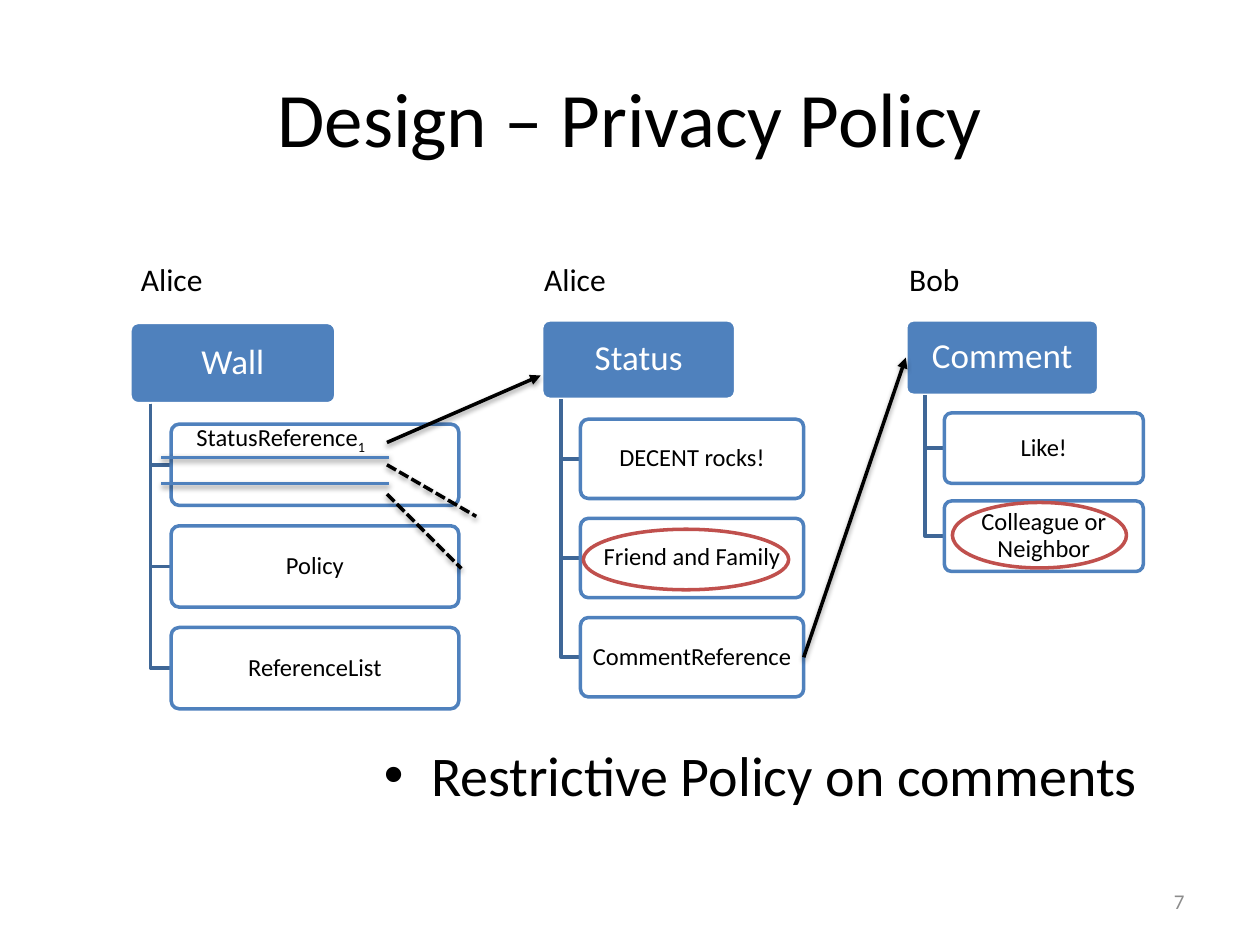
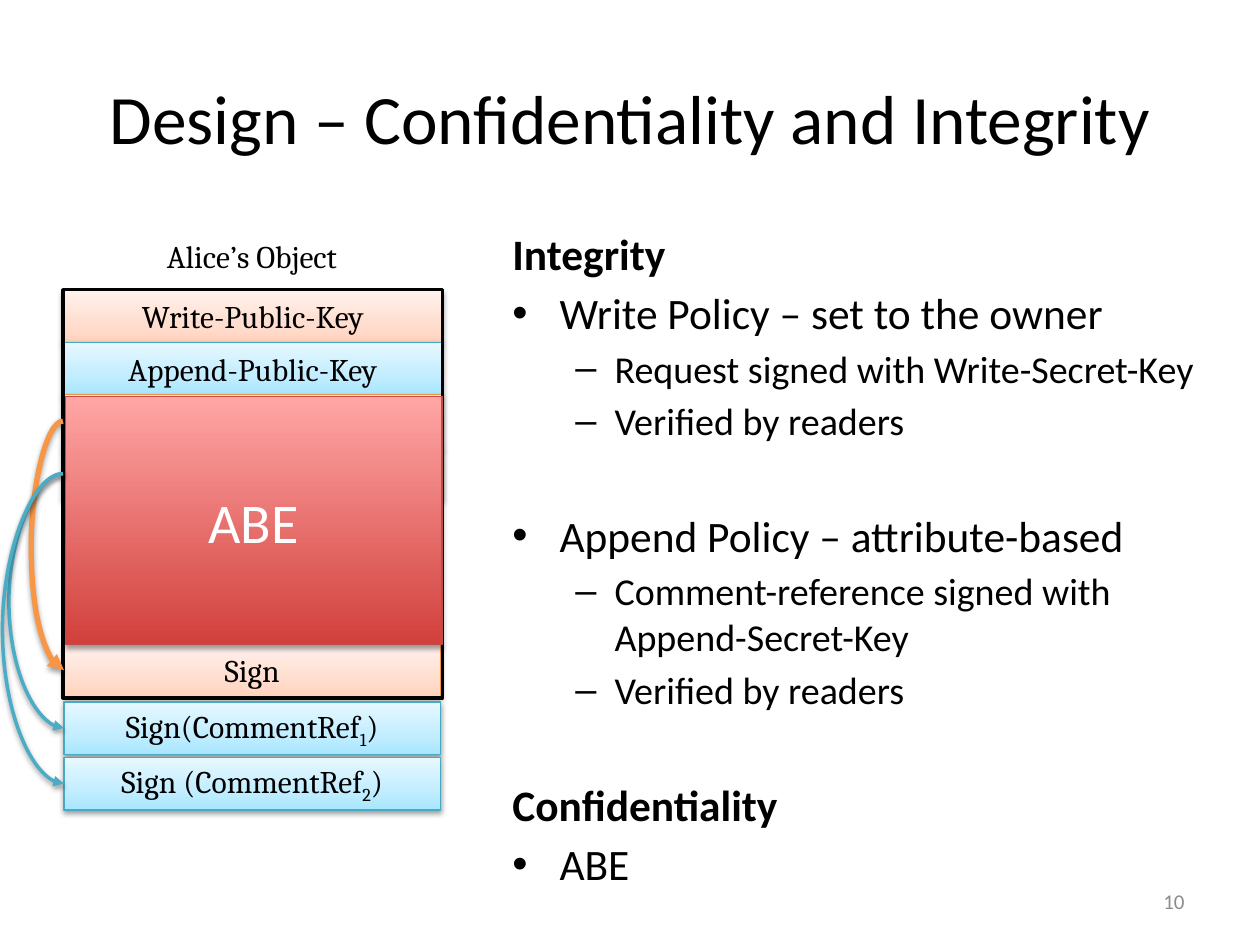
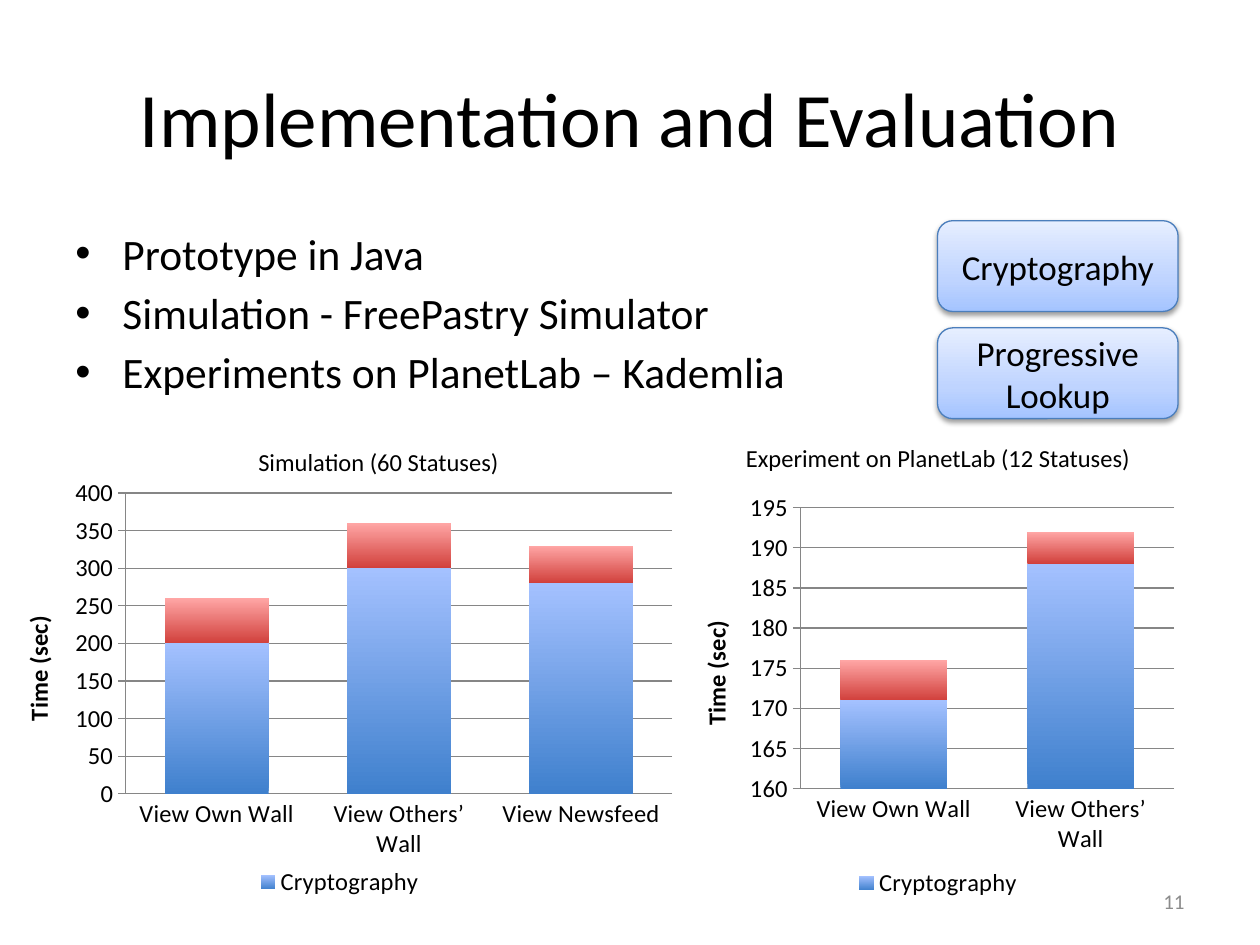
import copy

import pptx
import pptx.chart.data
import pptx.dml.color
import pptx.enum.chart
import pptx.enum.dml
import pptx.enum.shapes
import pptx.enum.text
import pptx.oxml
import pptx.oxml.ns
import pptx.util

Cm, Pt = pptx.util.Cm, pptx.util.Pt
RGB = pptx.dml.color.RGBColor
SHAPE = pptx.enum.shapes.MSO_SHAPE
CONNECTOR = pptx.enum.shapes.MSO_CONNECTOR
ALIGN = pptx.enum.text.PP_ALIGN
ANCHOR = pptx.enum.text.MSO_ANCHOR
CHART = pptx.enum.chart
DASH = pptx.enum.dml.MSO_LINE
qn = pptx.oxml.ns.qn

# Shared look
BLACK = RGB(0x00, 0x00, 0x00)
WHITE = RGB(0xFF, 0xFF, 0xFF)
GREY = RGB(0x8C, 0x8C, 0x8C)
AXIS_GREY = RGB(0x86, 0x86, 0x86)
BLUE = RGB(0x4F, 0x81, 0xBD)
TRUNK_BLUE = RGB(0x3F, 0x67, 0x97)
RED = RGB(0xC0, 0x50, 0x4D)
ORANGE = RGB(0xF7, 0x96, 0x46)
TEAL = RGB(0x4B, 0xAC, 0xC6)
ORANGE_EDGE = RGB(0xF6, 0x92, 0x40)
TEAL_EDGE = RGB(0x46, 0xAA, 0xC5)
BLUE_EDGE = RGB(0x4B, 0x7E, 0xBC)
RED_EDGE = RGB(0xBF, 0x4C, 0x48)

# Gradients run from the bottom edge to the top edge
PEACH_FADE = [(0, RGB(0xFF, 0xD2, 0xBD)), (0.35, RGB(0xFF, 0xDE, 0xD0)), (1, RGB(0xFF, 0xF2, 0xED))]
SKY_FADE = [(0, RGB(0xA7, 0xE6, 0xFF)), (0.35, RGB(0xC1, 0xED, 0xFF)), (1, RGB(0xE7, 0xF8, 0xFF))]
PALE_BLUE_FADE = [(0, RGB(0xA4, 0xC4, 0xFF)), (0.35, RGB(0xBF, 0xD4, 0xFF)), (1, RGB(0xE6, 0xEE, 0xFF))]
RED_FADE = [(0, RGB(0xD1, 0x40, 0x3C)), (1, RGB(0xFF, 0xA6, 0xA5))]
BLUE_FADE = [(0, RGB(0x3F, 0x80, 0xCD)), (1, RGB(0xA4, 0xC1, 0xFF))]

TITLE_AREA = (1.27, 0.76, 22.86, 3.18)
NUMBER_AREA = (18.21, 17.65, 5.92, 1.02)

# Slide 1 content: owner, owner label left and width, header area, item width and height, items
TREES = {
    "Wall": ("Alice", 2.59, 2.24, (2.62, 6.5, 4.15, 1.64), 5.8, 1.64, ["", "Policy", "ReferenceList"]),
    "Status": ("Alice", 10.72, 1.78, (10.92, 6.45, 3.91, 1.6), 4.5, 1.6,
               ["DECENT rocks!", "Friend and Family", "CommentReference"]),
    "Comment": ("Bob", 18.08, 1.55, (18.26, 6.45, 3.89, 1.52), 4.01, 1.42,
                ["Like!", "Colleague or Neighbor"]),
}
REFERENCE_RULES = [9.22, 9.75]
REFERENCE_LINKS = [
    ((7.8, 8.92), (10.9, 7.57), True),
    ((7.8, 9.37), (9.6, 10.41), False),
    ((7.8, 9.96), (9.3, 11.46), False),
]
POLICY_RINGS = [(11.76, 10.67, 4.14, 1.22), (19.2, 10.13, 3.51, 1.32)]
POLICY_NOTE = [("point", "Restrictive Policy on comments", 32, 0)]

# Slide 2 content: texts alternate between normal and subscript parts
SIGNED_WITH_WRITE = (PEACH_FADE, ORANGE_EDGE)
SIGNED_WITH_APPEND = (SKY_FADE, TEAL_EDGE)
KEY_ROWS = [
    (("Write-Public-Key",), SIGNED_WITH_WRITE),
    (("Append-Public-Key",), SIGNED_WITH_APPEND),
    ((), SIGNED_WITH_WRITE),
    ((), SIGNED_WITH_APPEND),
]
SIGNATURES = [
    (("Sign",), 12.98, SIGNED_WITH_WRITE),
    (("Sign(CommentRef", "1", ")"), 14.15, SIGNED_WITH_APPEND),
    (("Sign (CommentRef", "2", ")"), 15.27, SIGNED_WITH_APPEND),
]
# key row, signature, bulge to the left, colour, width
SIGNING_ARROWS = [(2, 0, 0.64, ORANGE, 3), (3, 1, 1.09, TEAL, 2), (3, 2, 1.22, TEAL, 2)]
SECURITY_POINTS = [
    ("heading", "Integrity", 24.8, 0),
    ("point", "Write Policy – set to the owner", 24.8, 4),
    ("detail", "Request signed with Write-Secret-Key", 21.7, 4),
    ("detail", "Verified by readers", 21.7, 4),
    ("point", "Append Policy – attribute-based", 24.8, 37.5),
    ("detail", "Comment-reference signed with Append-Secret-Key", 21.7, 4),
    ("detail", "Verified by readers", 21.7, 4),
    ("heading", "Confidentiality", 24.8, 38),
    ("point", "ABE", 24.8, 4),
]

# Slide 3 content
EVALUATION_POINTS = [
    ("point", "Prototype in Java", 24.8, 0),
    ("point", "Simulation - FreePastry Simulator", 24.8, 4),
    ("point", "Experiments on PlanetLab – Kademlia", 24.8, 4),
]
COSTS = ["Cryptography", "Progressive Lookup"]
CHARTS = [
    {
        "title": "Simulation (60 Statuses)", "title_area": (2.41, 8.79, 10.44, 1.04),
        "area": (0, 9.45, 13.69, 8.74), "plot": (0.185, 0.056, 0.805, 0.694),
        "views": ["View Own Wall", "View Others’ Wall", "View Newsfeed"],
        "times": [(200, 300, 280), (60, 60, 50)],
        "scale": {"minimum_scale": 0, "maximum_scale": 400, "major_unit": 50},
    },
    {
        "title": "Experiment on PlanetLab (12 Statuses)", "title_area": (13.69, 8.71, 10.44, 1.04),
        "area": (13.69, 9.93, 10.44, 8.28), "plot": (0.234, 0.036, 0.722, 0.685),
        "views": ["View Own Wall", "View Others’ Wall"],
        "times": [(171, 188), (5, 4)],
        "scale": {"minimum_scale": 160, "maximum_scale": 195, "major_unit": 5},
    },
]

# Bullet, left margin and hanging indent for each kind of paragraph
BULLETS = {"heading": None, "point": ("•", 0.95, 0.95), "detail": ("–", 2.06, 0.79)}


def apply(target, formats):
    for name, value in formats.items():
        setattr(target, name, value)


def lengths(area):
    return [Cm(value) for value in area]


def xml(tag, **attributes):
    element = pptx.oxml.parse_xml(f"<{tag} {pptx.oxml.ns.nsdecls(tag.split(':')[0])}/>")
    for name, value in attributes.items():
        element.set(name, str(value))
    return element


def set_font(font, size, color=BLACK, name="Calibri", bold=False):
    apply(font, {"size": Pt(size), "name": name, "bold": bold})
    font.color.rgb = color


def set_line(line, color, width):
    line.color.rgb = color
    line.width = Pt(width)


def write(shape, parts, size, color=BLACK, font="Calibri", align=ALIGN.CENTER,
          anchor=ANCHOR.MIDDLE, wrap=True, insets=(0.25, 0.13), spacing=None):
    frame = shape.text_frame
    side, end = lengths(insets)
    apply(frame, {"word_wrap": wrap, "vertical_anchor": anchor, "margin_left": side,
                  "margin_right": side, "margin_top": end, "margin_bottom": end})
    paragraph = frame.paragraphs[0]
    apply(paragraph, {"alignment": align, "line_spacing": spacing})
    for index, part in enumerate(parts):
        run = paragraph.add_run()
        run.text = part
        set_font(run.font, size, color, font)
        if index % 2:
            run._r.get_or_add_rPr().set("baseline", "-25000")


def add_label(slide, area, parts, size, **formats):
    write(slide.shapes.add_textbox(*lengths(area)), parts, size, **formats)


def add_points(slide, area, points):
    frame = slide.shapes.add_textbox(*lengths(area)).text_frame
    frame.word_wrap = True
    for index, (kind, text, size, before) in enumerate(points):
        paragraph = frame.add_paragraph() if index else frame.paragraphs[0]
        paragraph.space_before = Pt(before)
        if BULLETS[kind]:
            mark, margin, hanging = BULLETS[kind]
            properties = paragraph._p.get_or_add_pPr()
            properties.set("marL", str(Cm(margin)))
            properties.set("indent", str(-Cm(hanging)))
            properties.append(xml("a:buFont", typeface="Arial"))
            properties.append(xml("a:buChar", char=mark))
        run = paragraph.add_run()
        run.text = text
        set_font(run.font, size, bold=kind == "heading")


def fade(owner, fill, stops):
    fill.gradient()
    fill.gradient_angle = 90
    stop_list = owner._element.find(".//" + qn("a:gsLst"))
    while len(stop_list) < len(stops):
        stop_list.append(copy.deepcopy(stop_list[0]))
    for stop, (position, color) in zip(fill.gradient_stops, stops):
        stop.position = position
        stop.color.rgb = color


def cast_shadow(properties):
    effects = properties.find(qn("a:effectLst"))
    if effects is None:
        effects = xml("a:effectLst")
        properties.append(effects)
    shadow = xml("a:outerShdw", blurRad=Pt(3.1), dist=Pt(1.6), dir=5400000, rotWithShape=0)
    color = xml("a:srgbClr", val="000000")
    color.append(xml("a:alpha", val=38000))
    shadow.append(color)
    effects.append(shadow)


def add_box(slide, kind, area, fill=None, edge=None, width=2.0, shadow=False):
    box = slide.shapes.add_shape(kind, *lengths(area))
    box.shadow.inherit = False
    if fill is None:
        box.fill.background()
    elif isinstance(fill, list):
        fade(box, box.fill, fill)
    else:
        box.fill.solid()
        box.fill.fore_color.rgb = fill
    if edge is None:
        box.line.fill.background()
    else:
        set_line(box.line, edge, width)
    if shadow:
        cast_shadow(box._element.spPr)
    return box


def add_link(slide, start=(0, 0), end=(0, 0), color=BLACK, width=2.0, arrow=True, kind=CONNECTOR.STRAIGHT):
    link = slide.shapes.add_connector(kind, *lengths(start + end))
    set_line(link.line, color, width)
    if arrow:
        link.line._get_or_add_ln().append(xml("a:tailEnd", type="triangle"))
    cast_shadow(link._element.spPr)
    return link


def add_slide(deck, title, number, size=44):
    slide = deck.slides.add_slide(deck.slide_layouts[5])
    heading = slide.shapes.title
    apply(heading, dict(zip(("left", "top", "width", "height"), lengths(TITLE_AREA))))
    write(heading, (title,), size)
    add_label(slide, NUMBER_AREA, (str(number),), 12, color=GREY, align=ALIGN.RIGHT)
    return slide


def add_tree(slide, name, owner, label_left, label_width, area, item_width, item_height, items):
    left, top, width, height = area
    header = add_box(slide, SHAPE.ROUNDED_RECTANGLE, area, BLUE, WHITE)
    header.adjustments[0] = 0.1
    write(header, (name,), 20, WHITE, insets=(0.1, 0.08), spacing=0.9)
    bottom, trunk, item_left = top + height, left + 0.1 * width, left + 0.2 * width
    boxes = [header]
    for index, item in enumerate(items):
        item_top = bottom + (0.25 + 1.25 * index) * item_height
        middle = item_top + item_height / 2
        outline = slide.shapes.build_freeform(Cm(trunk), Cm(bottom))
        outline.add_line_segments([lengths((trunk, middle)), lengths((item_left, middle))], close=False)
        branch = outline.convert_to_shape()
        branch.shadow.inherit = False
        branch.fill.background()
        set_line(branch.line, TRUNK_BLUE, 2)
        box = add_box(slide, SHAPE.ROUNDED_RECTANGLE, (item_left, item_top, item_width, item_height), WHITE, BLUE)
        box.adjustments[0] = 0.1
        if item:
            write(box, (item,), 14, insets=(0.1, 0.08), spacing=0.9)
        boxes.append(box)
    add_label(slide, (label_left, 5.11, label_width, 1.02), (owner,), 18, align=ALIGN.LEFT, wrap=False)
    return boxes


def build_policy_slide(deck):
    slide = add_slide(deck, "Design – Privacy Policy", 7)
    add_points(slide, (7.49, 14.81, 16.64, 3.12), POLICY_NOTE)
    trees = {name: add_tree(slide, name, *parts) for name, parts in TREES.items()}

    # References between the trees
    comment_link = add_link(slide)
    comment_link.begin_connect(trees["Status"][-1], 3)
    comment_link.end_connect(trees["Comment"][0], 1)
    for height in REFERENCE_RULES:
        add_link(slide, (3.25, height), (7.85, height), BLUE, arrow=False)
    for start, end, followed in REFERENCE_LINKS:
        link = add_link(slide, start, end, arrow=followed)
        if not followed:
            link.line.dash_style = DASH.SQUARE_DOT
    for area in POLICY_RINGS:
        add_box(slide, SHAPE.OVAL, area, edge=RED)
    add_label(slide, (3.71, 8.38, 4.09, 0.86), ("StatusReference", "1"), 14, align=ALIGN.LEFT,
              anchor=ANCHOR.TOP, wrap=False)


def build_integrity_slide(deck):
    slide = add_slide(deck, "Design – Confidentiality and Integrity", 10, 39.6)
    add_points(slide, (10.08, 4.45, 14.63, 12.57), SECURITY_POINTS)
    add_label(slide, (2.92, 4.62, 4.32, 1.07), ("Alice’s Object",), 18, font="Cambria", wrap=False)

    def add_row(parts, look, left, top, width):
        fill, edge = look
        row = add_box(slide, SHAPE.RECTANGLE, (left, top, width, 1.06), fill, edge, 0.75, True)
        if parts:
            write(row, parts, 18, font="Cambria", insets=(0.28, 0.14))
        return row

    # Object with its keys, encrypted body and signatures
    keys = [add_row(parts, look, 1.27, 5.84 + 1.06 * index, 7.65)
            for index, (parts, look) in enumerate(KEY_ROWS)]
    signatures = [add_row(parts, look, 1.29, top, 7.59) for parts, top, look in SIGNATURES]
    add_box(slide, SHAPE.RECTANGLE, (1.27, 5.84, 7.65, 8.23), edge=BLACK)
    encrypted = add_box(slide, SHAPE.RECTANGLE, (1.32, 8, 7.59, 5), RED_FADE, RED_EDGE, 0.75, True)
    write(encrypted, ("ABE",), 32, WHITE)

    # Which key signs what: the bulge is a multiple of the arrow's small width
    for key, signature, bulge, color, width in SIGNING_ARROWS:
        arrow = add_link(slide, color=color, width=width, kind=CONNECTOR.CURVE)
        arrow.begin_connect(keys[key], 1)
        arrow.end_connect(signatures[signature], 1)
        ratio = round(-100000 * Cm(bulge) / arrow.width)
        guides = arrow._element.spPr.find(".//" + qn("a:avLst"))
        guides.append(xml("a:gd", name="adj1", fmla=f"val {ratio}"))


def add_time_chart(slide, content):
    title = add_box(slide, SHAPE.RECTANGLE, content["title_area"], WHITE)
    write(title, (content["title"],), 14)
    data = pptx.chart.data.CategoryChartData()
    data.categories = content["views"]
    for name, times in zip(("Cryptography", "Series 2"), content["times"]):
        data.add_series(name, times)
    chart = slide.shapes.add_chart(CHART.XL_CHART_TYPE.COLUMN_STACKED, *lengths(content["area"]), data).chart
    apply(chart, {"has_title": False, "has_legend": True})
    set_font(chart.font, 14)
    plot = chart.plots[0]
    apply(plot, {"gap_width": 75, "overlap": 100, "vary_by_categories": False})
    for series, stops in zip(plot.series, (BLUE_FADE, RED_FADE)):
        fade(series, series.format.fill, stops)

    # Axes
    times_axis, views_axis = chart.value_axis, chart.category_axis
    apply(times_axis, content["scale"])
    apply(times_axis, {"has_major_gridlines": True, "major_tick_mark": CHART.XL_TICK_MARK.OUTSIDE})
    views_axis.major_tick_mark = CHART.XL_TICK_MARK.NONE
    for part in (times_axis, views_axis, times_axis.major_gridlines):
        set_line(part.format.line, AXIS_GREY, 0.75)
    axis_title = times_axis.axis_title.text_frame
    axis_title.text = "Time (sec)"
    set_font(axis_title.paragraphs[0].runs[0].font, 14, bold=True)

    # Legend names the first series only
    apply(chart.legend, {"position": CHART.XL_LEGEND_POSITION.BOTTOM, "include_in_layout": False})
    entry = xml("c:legendEntry")
    entry.append(xml("c:idx", val=1))
    entry.append(xml("c:delete", val=1))
    chart.legend._element.insert(1, entry)

    # Fixed inner plot area
    plot_area = chart._chartSpace.chart.plotArea
    for old in plot_area.findall(qn("c:layout")):
        plot_area.remove(old)
    layout, manual = xml("c:layout"), xml("c:manualLayout")
    settings = [("layoutTarget", "inner"), ("xMode", "edge"), ("yMode", "edge")]
    for name, value in settings + list(zip("xywh", content["plot"])):
        manual.append(xml("c:" + name, val=value))
    layout.append(manual)
    plot_area.insert(0, layout)


def build_evaluation_slide(deck):
    slide = add_slide(deck, "Implementation and Evaluation", 11)
    add_points(slide, (1.27, 4.45, 15.29, 3.4), EVALUATION_POINTS)
    for content in CHARTS:
        add_time_chart(slide, content)
    for index, cost in enumerate(COSTS):
        box = add_box(slide, SHAPE.ROUNDED_RECTANGLE, (18.9, 4.45 + 2.16 * index, 4.85, 1.83),
                      PALE_BLUE_FADE, BLUE_EDGE, 0.75, True)
        write(box, (cost,), 20)


def main():
    deck = pptx.Presentation()
    apply(deck, {"slide_width": Cm(25.4), "slide_height": Cm(19.05)})
    build_policy_slide(deck)
    build_integrity_slide(deck)
    build_evaluation_slide(deck)
    deck.save("out.pptx")


if __name__ == "__main__":
    main()
